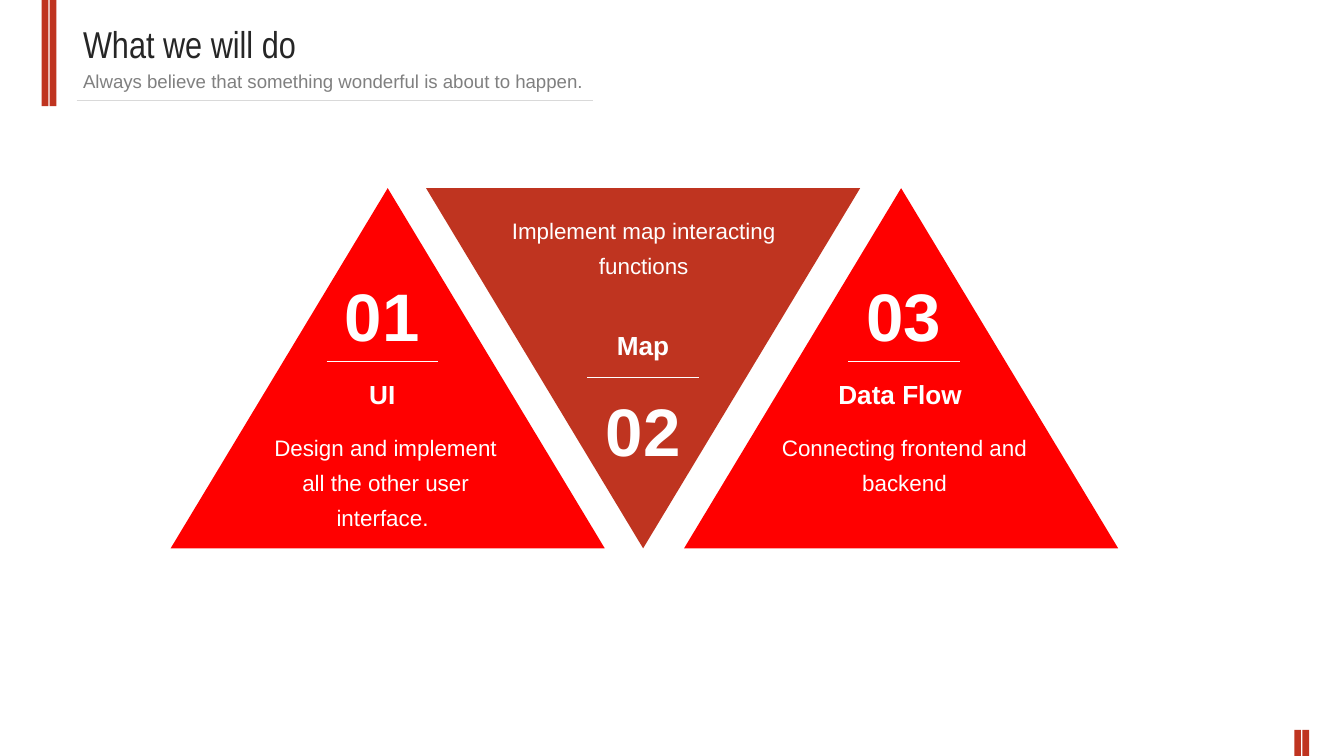
import pptx
import pptx.dml.color
import pptx.enum.shapes
import pptx.enum.text
import pptx.oxml.ns
import pptx.util
from lxml import etree

Inches = pptx.util.Inches
Pt = pptx.util.Pt
SHAPE = pptx.enum.shapes.MSO_SHAPE
ALIGN = pptx.enum.text.PP_ALIGN
RGB = pptx.dml.color.RGBColor.from_string

COLORS = {
    "brick": "BF3420",
    "red": "FF0000",
    "white": "FFFFFF",
    "title": "262626",
    "subtitle": "808080",
    "rule": "D9D9D9",
}

FORMATS = {
    "title": {"size": Pt(20), "name": "Arial Narrow"},
    "subtitle": {"size": Pt(10), "name": "Arial"},
    "number": {"size": Pt(36), "name": "Arial", "bold": True},
    "heading": {"size": Pt(14), "name": "Arial", "bold": True},
    "body": {"size": Pt(12), "name": "Arial"},
}

# Widescreen page, 16:9
deck = pptx.Presentation()
deck.slide_width = Inches(10)
deck.slide_height = Inches(10) * 9 // 16
page = deck.slides.add_slide(deck.slide_layouts[6])


def add_text(text, style, color, left, top, width, height, align=ALIGN.LEFT):
    box = page.shapes.add_textbox(
        Inches(left), Inches(top), Inches(width), Inches(height))
    box.text_frame.word_wrap = True
    para = box.text_frame.paragraphs[0]
    para.alignment = align
    if style == "body":
        para.line_spacing = 1.3
    span = para.add_run()
    span.text = text
    for key, value in FORMATS[style].items():
        setattr(span.font, key, value)
    span.font.color.rgb = RGB(COLORS[color])


def add_rule(color, left, top, width):
    rule = page.shapes.add_connector(
        pptx.enum.shapes.MSO_CONNECTOR.STRAIGHT,
        Inches(left), Inches(top), Inches(left + width), Inches(top))
    rule.line.color.rgb = RGB(COLORS[color])
    rule.line.width = Pt(0.75)
    etree.SubElement(rule._element.spPr, pptx.oxml.ns.qn("a:effectLst"))


# Shapes: paired accent bars in two corners, then the three triangles
bars = [(SHAPE.RECTANGLE, left, top, 0.05, height, turn, "brick")
        for first, top, height, turn in [(0.31, 0, 0.79, 0),
                                         (9.63, 5.43, 0.2, 180)]
        for left in (first, first + 0.06)]
triangles = [(SHAPE.ISOSCELES_TRIANGLE, left, 1.4, 3.23, 2.68, turn, color)
             for left, turn, color in [(1.27, 0, "red"),
                                       (3.17, 180, "brick"),
                                       (5.09, 0, "red")]]
for kind, left, top, width, height, turn, color in bars + triangles:
    shape = page.shapes.add_shape(
        kind, Inches(left), Inches(top), Inches(width), Inches(height))
    shape.rotation = turn
    shape.shadow.inherit = False
    shape.fill.solid()
    shape.fill.fore_color.rgb = RGB(COLORS[color])
    shape.line.fill.background()

# Header
add_rule("rule", 0.57, 0.75, 3.84)
add_text("What we will do", "title", "title", 0.52, 0.11, 4.23, 0.44)
add_text("Always believe that something wonderful is about to happen.",
         "subtitle", "subtitle", 0.52, 0.47, 4.23, 0.27)

# Triangle contents: tops of number, rule, heading and body by orientation
upright = (1.99, 2.69, 2.77, 3.12)
inverted = (2.85, 2.81, 2.4, 1.51)
items = [
    ("01", "UI", "Design and implement all the other user interface. ",
     upright, 2.85, 2.87, 1.94, 0.89),
    ("02", "Map", "Implement map interacting functions",
     inverted, 4.79, 4.79, 2.28, 0.63),
    ("03", "Data Flow ", "Connecting frontend and backend",
     upright, 6.73, 6.73, 2.28, 0.63),
]
for number, heading, body, tops, center, body_center, width, height in items:
    number_top, rule_top, heading_top, body_top = tops
    add_text(heading, "heading", "white",
             center - 0.89, heading_top, 1.77, 0.34, ALIGN.CENTER)
    add_text(body, "body", "white",
             body_center - width / 2, body_top, width, height, ALIGN.CENTER)
    add_text(number, "number", "white",
             center - 0.54, number_top, 1.07, 0.71, ALIGN.CENTER)
    add_rule("white", center - 0.42, rule_top, 0.83)

deck.save("out.pptx")
